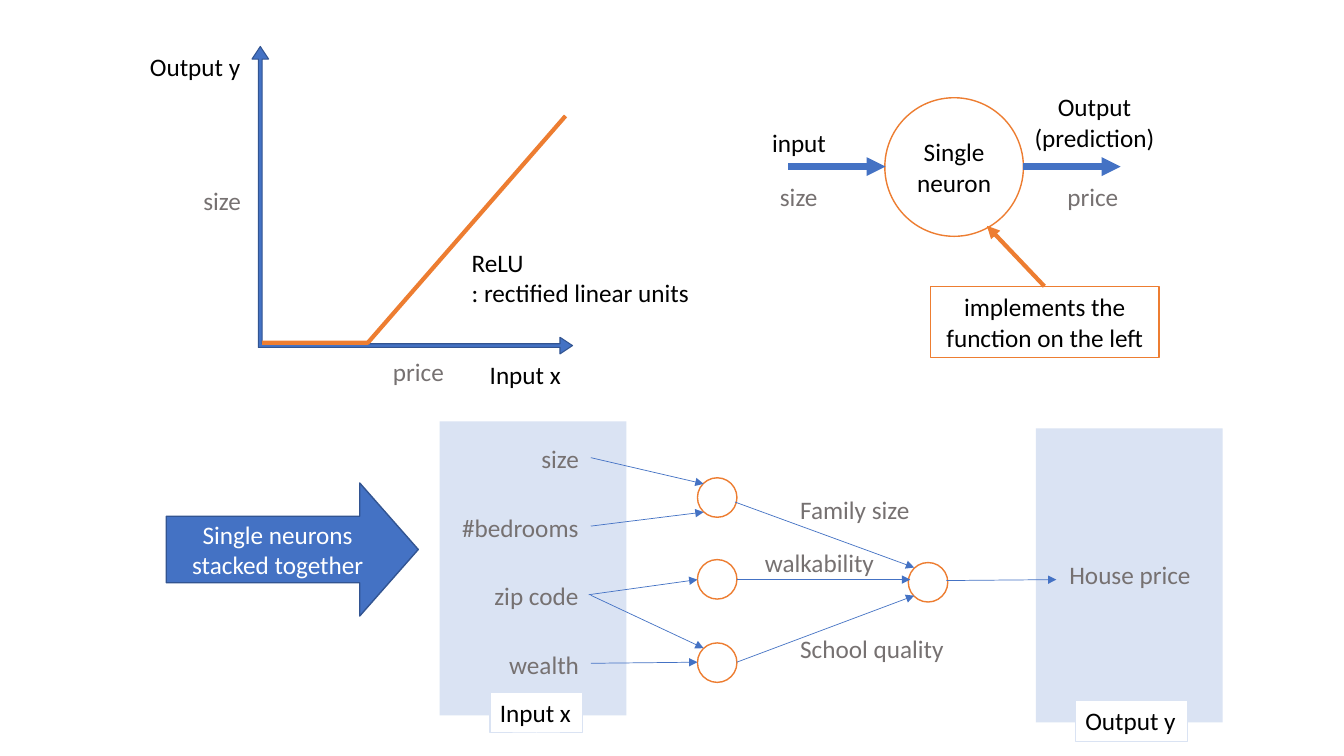
from pptx import Presentation
from pptx.dml.color import RGBColor
from pptx.enum.shapes import MSO_CONNECTOR, MSO_SHAPE
from pptx.enum.text import MSO_ANCHOR, MSO_AUTO_SIZE, PP_ALIGN
from pptx.oxml.ns import qn
from pptx.util import Pt
from lxml.etree import SubElement

BLACK = RGBColor(0x00, 0x00, 0x00)
WHITE = RGBColor(0xFF, 0xFF, 0xFF)
GRAY = RGBColor(0x76, 0x71, 0x71)
BLUE = RGBColor(0x44, 0x72, 0xC4)
DARK_BLUE = RGBColor(0x32, 0x54, 0x91)
PALE_BLUE = RGBColor(0xDA, 0xE3, 0xF3)
ORANGE = RGBColor(0xED, 0x7D, 0x31)

GROWING = {"word_wrap": False, "auto_size": MSO_AUTO_SIZE.SHAPE_TO_FIT_TEXT, "vertical_anchor": MSO_ANCHOR.TOP}
WRAPPED = {"word_wrap": True, "auto_size": MSO_AUTO_SIZE.NONE, "vertical_anchor": MSO_ANCHOR.MIDDLE}

presentation = Presentation()
presentation.slide_width = Pt(960)
presentation.slide_height = Pt(540)
slide = presentation.slides.add_slide(presentation.slide_layouts[6])


def add_block(box, text="", color=BLACK, align=PP_ALIGN.LEFT, frame=GROWING,
              kind=None, fill=None, line=None, width=1):
    lengths = [Pt(value) for value in box]
    if kind is None:
        block = slide.shapes.add_textbox(*lengths)
    else:
        block = slide.shapes.add_shape(kind, *lengths)
        block.shadow.inherit = False
        block.fill.solid()
        block.fill.fore_color.rgb = fill
        if line is None:
            block.line.fill.background()
        else:
            block.line.color.rgb = line
            block.line.width = Pt(width)
    if text:
        block.text_frame.text = text
        for name, value in frame.items():
            setattr(block.text_frame, name, value)
        for paragraph in block.text_frame.paragraphs:
            paragraph.alignment = align
            for name, value in {"name": "Calibri", "size": Pt(18)}.items():
                setattr(paragraph.font, name, value)
            paragraph.font.color.rgb = color
    return block


def add_arrow(x1, y1, x2, y2, color=BLUE, width=0.5):
    arrow = slide.shapes.add_connector(MSO_CONNECTOR.STRAIGHT, Pt(x1), Pt(y1), Pt(x2), Pt(y2))
    arrow.line.color.rgb = color
    arrow.line.width = Pt(width)
    SubElement(arrow.line._get_or_add_ln(), qn("a:tailEnd"), type="triangle")
    SubElement(arrow._element.spPr, qn("a:effectLst"))


for left, top in [(314, 301), (740, 306)]:
    add_block((left, top, 133.4, 210), kind=MSO_SHAPE.RECTANGLE, fill=PALE_BLUE)

axes = add_block((180, 33.2, 229, 219.6), kind=MSO_SHAPE.LEFT_UP_ARROW,
                 fill=BLUE, line=DARK_BLUE, width=0)
for index, ratio in enumerate([0.012, 0.027, 0.041]):
    axes.adjustments[index] = ratio
axes._element.spPr.xfrm.set("flipH", "1")

relu_builder = slide.shapes.build_freeform(Pt(187.2), Pt(244.8))
relu_builder.add_line_segments([(Pt(262.8), Pt(244.8)), (Pt(404), Pt(82.8))], close=False)
relu_curve = relu_builder.convert_to_shape()
relu_curve.shadow.inherit = False
relu_curve.fill.background()
relu_curve.line.color.rgb = ORANGE
relu_curve.line.width = Pt(3)

for text, box, color in [
    ("Output y", (100, 33.2, 80, 29), BLACK),
    ("Input x", (342.7, 253.4, 66.2, 29), BLACK),
    ("ReLU\n: rectified linear units", (329.8, 172.8, 172, 51), BLACK),
    ("size", (138.2, 129, 42, 29), GRAY),
    ("price", (273.6, 250.6, 51, 29), GRAY),
    ("input", (544.4, 87.1, 53.2, 29), BLACK),
    ("size", (550, 126, 42, 29), GRAY),
    ("price", (755.3, 126, 51, 29), GRAY),
]:
    add_block(box, text, color)
add_block((731, 62, 101.5, 51), "Output\n(prediction)", align=PP_ALIGN.CENTER)

add_block((632, 69.8, 99, 99), "Single neuron", align=PP_ALIGN.CENTER, frame=WRAPPED,
          kind=MSO_SHAPE.OVAL, fill=WHITE, line=ORANGE)
add_block((664.6, 204.5, 163.4, 51), "implements the function on the left", align=PP_ALIGN.CENTER,
          frame=WRAPPED, kind=MSO_SHAPE.RECTANGLE, fill=WHITE, line=ORANGE)
for start in (563, 731):
    add_arrow(start, 119, start + 69.5, 119, width=4.5)
add_arrow(746, 204.5, 705, 161.3, ORANGE, 3)

stacked = add_block((118.8, 345, 180, 95), "Single neurons stacked together", WHITE, PP_ALIGN.CENTER,
                    WRAPPED, MSO_SHAPE.RIGHT_ARROW, BLUE, DARK_BLUE)
stacked.adjustments[0] = 0.5
stacked.adjustments[1] = 0.44

for left, top in [(498.2, 341.3), (498.2, 399.7), (498.2, 459.2), (648.8, 401.8)]:
    add_block((left, top, 28.2, 28.2), kind=MSO_SHAPE.OVAL, fill=WHITE, line=ORANGE)

features = [("size", 42), ("#bedrooms", 98.6), ("zip code", 75.6), ("wealth", 65)]
for row, (feature, width) in enumerate(features):
    add_block((421.6 - width, 313.2 + 49 * row, width, 29), feature, GRAY)

for text, left, top, width in [
    ("Family size", 564.5, 349.2, 93.6),
    ("walkability", 539.3, 387.4, 92.9),
    ("School quality", 564.5, 448.6, 122.4),
    ("House price", 756.7, 396, 102.2),
]:
    add_block((left, top, width, 29), text, GRAY)

for ends in [
    (422, 326.9, 502.6, 345.6),
    (422, 375.8, 502.6, 365.8),
    (422, 425.2, 502.6, 463),
    (420.5, 424.8, 498.2, 414),
    (422, 473.8, 498.2, 473),
    (525, 358.6, 653, 405.4),
    (526.3, 414, 650.2, 414),
    (526.3, 473, 653, 425.5),
    (676, 414.7, 754.6, 414),
]:
    add_arrow(*ends)

for text, box in [("Input x", (350, 494.6, 66.2, 29)), ("Output y", (768.2, 500.4, 80, 29))]:
    add_block(box, text, kind=MSO_SHAPE.RECTANGLE, fill=WHITE, line=PALE_BLUE, width=0.75)

presentation.save("out.pptx")
